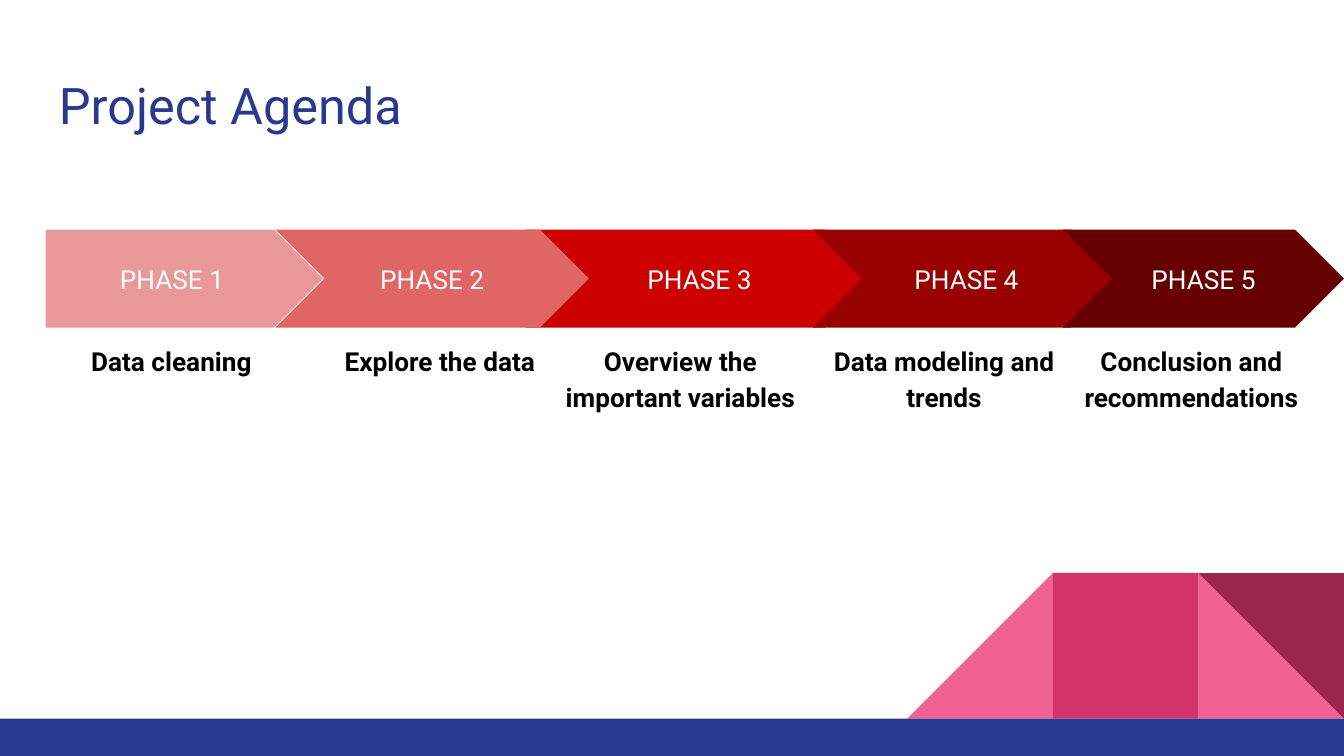
from pptx import Presentation
from pptx import util as u
from pptx.dml.color import RGBColor
from pptx.enum import shapes, text

WIDTH, HEIGHT = 720, 405
BAR_TOP = 385
TILE = 78
ARROW_TOP, ARROW_HEIGHT = 123, 52.5
MARGIN = 7.2
KINDS = shapes.MSO_SHAPE
CENTER = text.PP_ALIGN.CENTER

PHASES = [
    (3, KINDS.CHEVRON, "CC0000", 281.5, 186.5, "Overview the important variables", 286.5, 156),
    (1, KINDS.PENTAGON, "EA9999", 24.5, 148.5, "Data cleaning", 3.6, 176.4),
    (2, KINDS.CHEVRON, "E06666", 147.5, 168, "Explore the data", 147.5, 176.4),
    (4, KINDS.CHEVRON, "990000", 435.5, 164.5, "Data modeling and trends", 435.5, 140.5),
    (5, KINDS.CHEVRON, "660000", 569.5, 150.5, "Conclusion and recommendations", 569.5, 137.5),
]


def color(value):
    return RGBColor.from_string(value)


def points(*values):
    return [u.Pt(value) for value in values]


def apply(target, values):
    for name, value in values.items():
        setattr(target, name, value)


def write(box, words, size, ink, bold=False, align=None, spacing=None,
          anchor=text.MSO_ANCHOR.TOP):
    frame = box.text_frame
    inset = u.Pt(MARGIN)
    apply(frame, {"word_wrap": True, "vertical_anchor": anchor,
                  "margin_left": inset, "margin_right": inset,
                  "margin_top": inset, "margin_bottom": inset})
    para = frame.paragraphs[0]
    apply(para, {"alignment": align, "line_spacing": spacing})
    span = para.add_run()
    span.text = words
    apply(span.font, {"name": "Roboto", "size": u.Pt(size), "bold": bold})
    span.font.color.rgb = color(ink)


def add_block(page, kind, place, fill, rotation=0):
    block = page.shapes.add_shape(kind, *points(*place))
    block.shadow.inherit = False
    block.fill.solid()
    block.fill.fore_color.rgb = color(fill)
    block.line.fill.background()
    block.rotation = rotation
    return block


def add_text(page, place, words, size, ink, **options):
    box = page.shapes.add_textbox(*points(*place))
    write(box, words, size, ink, **options)


def add_corner(page):
    tiles = [(1, KINDS.RIGHT_TRIANGLE, "F06292", 0),
             (3, KINDS.RIGHT_TRIANGLE, "F06292", 270),
             (2, KINDS.RECTANGLE, "D23369", 0),
             (1, KINDS.RIGHT_TRIANGLE, "9C254D", 180)]
    for steps, kind, fill, rotation in tiles:
        place = (WIDTH - steps * TILE, BAR_TOP - TILE, TILE, TILE)
        add_block(page, kind, place, fill, rotation)
    add_block(page, KINDS.RECTANGLE, (0, BAR_TOP, WIDTH, HEIGHT - BAR_TOP), "2A3990")


def add_phase(page, number, kind, fill, left, width, topic, topic_left, topic_width):
    arrow = add_block(page, kind, (left, ARROW_TOP, width, ARROW_HEIGHT), fill)
    arrow.adjustments[0] = 0.5
    write(arrow, f"PHASE {number}", 14, "FFFFFF", align=CENTER,
          anchor=text.MSO_ANCHOR.MIDDLE)
    place = (topic_left, ARROW_TOP + ARROW_HEIGHT, topic_width, 206)
    add_text(page, place, topic, 14, "000000", bold=True, align=CENTER, spacing=1.15)


def main():
    deck = Presentation()
    apply(deck, {"slide_width": u.Pt(WIDTH), "slide_height": u.Pt(HEIGHT)})
    page = deck.slides.add_slide(deck.slide_layouts[6])
    add_corner(page)
    add_text(page, (24.5, 32.4, 671, 47.5), "Project Agenda", 27, "2A3990")
    for phase in PHASES:
        add_phase(page, *phase)
    deck.save("out.pptx")


if __name__ == "__main__":
    main()
